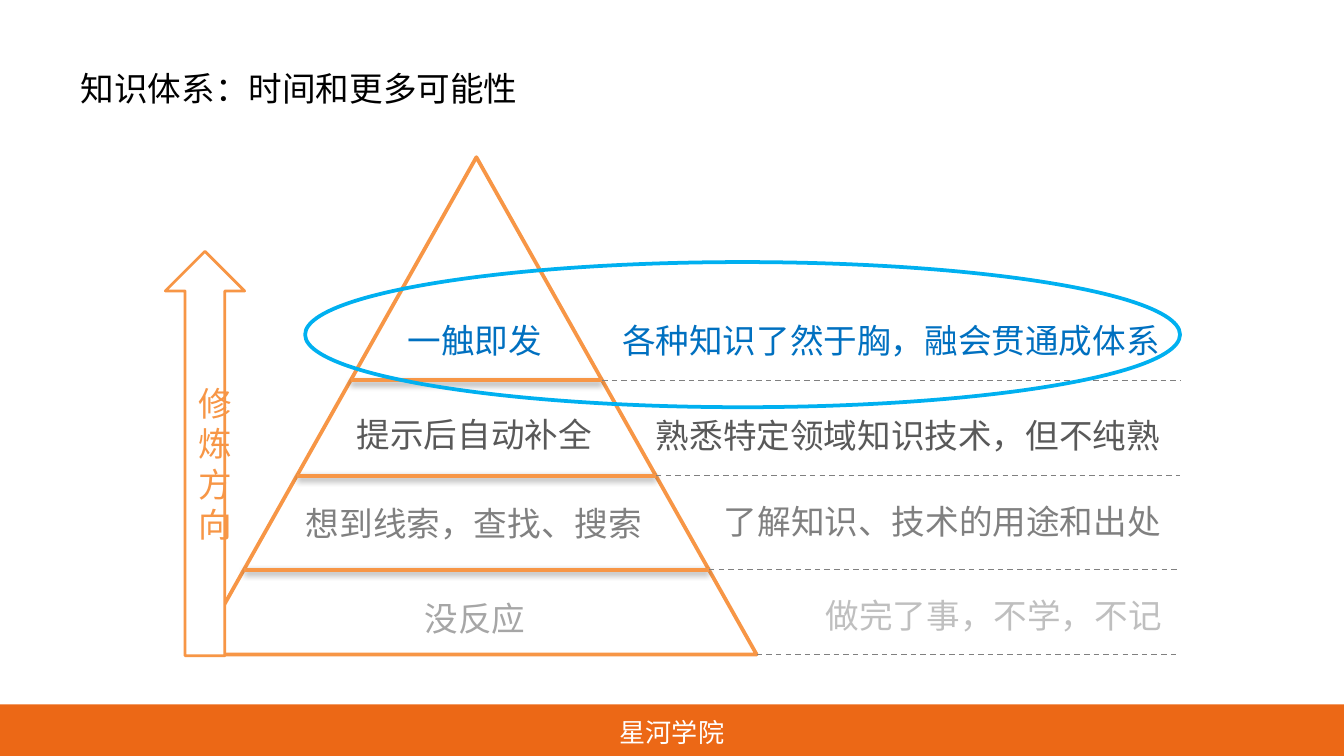
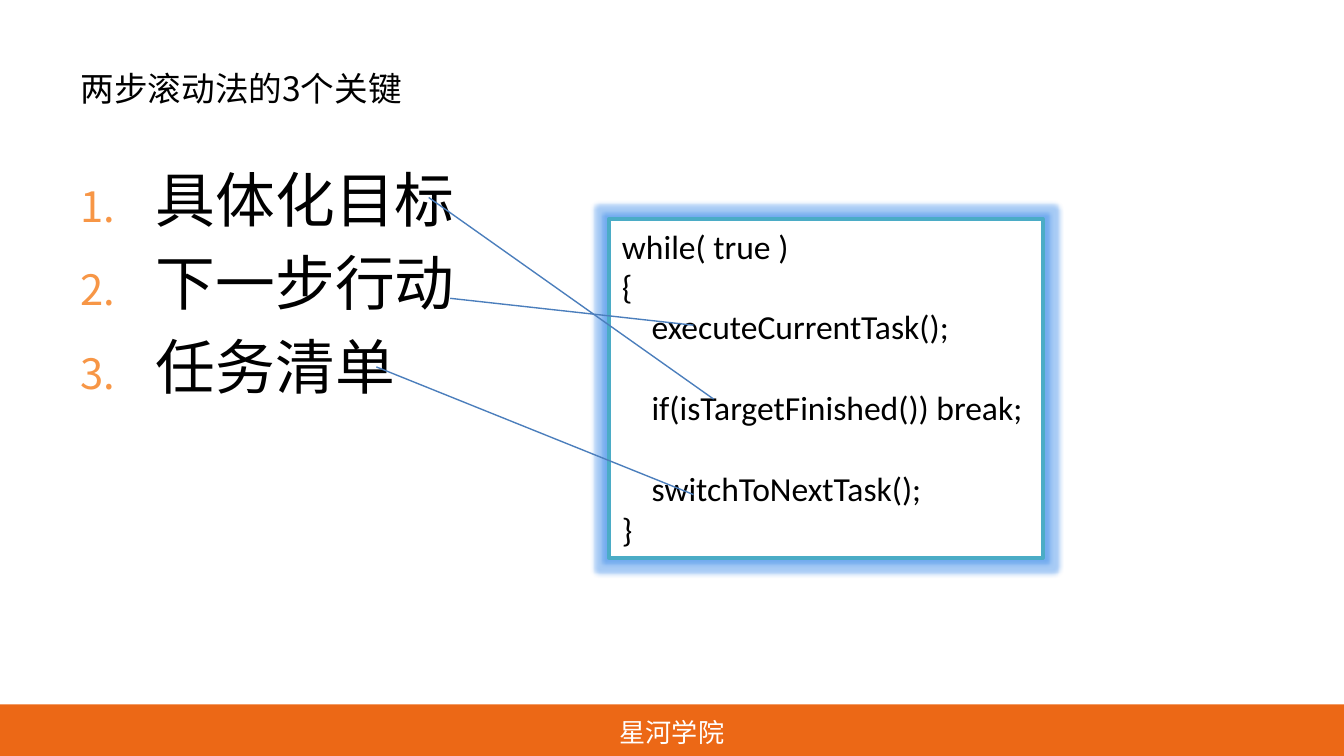
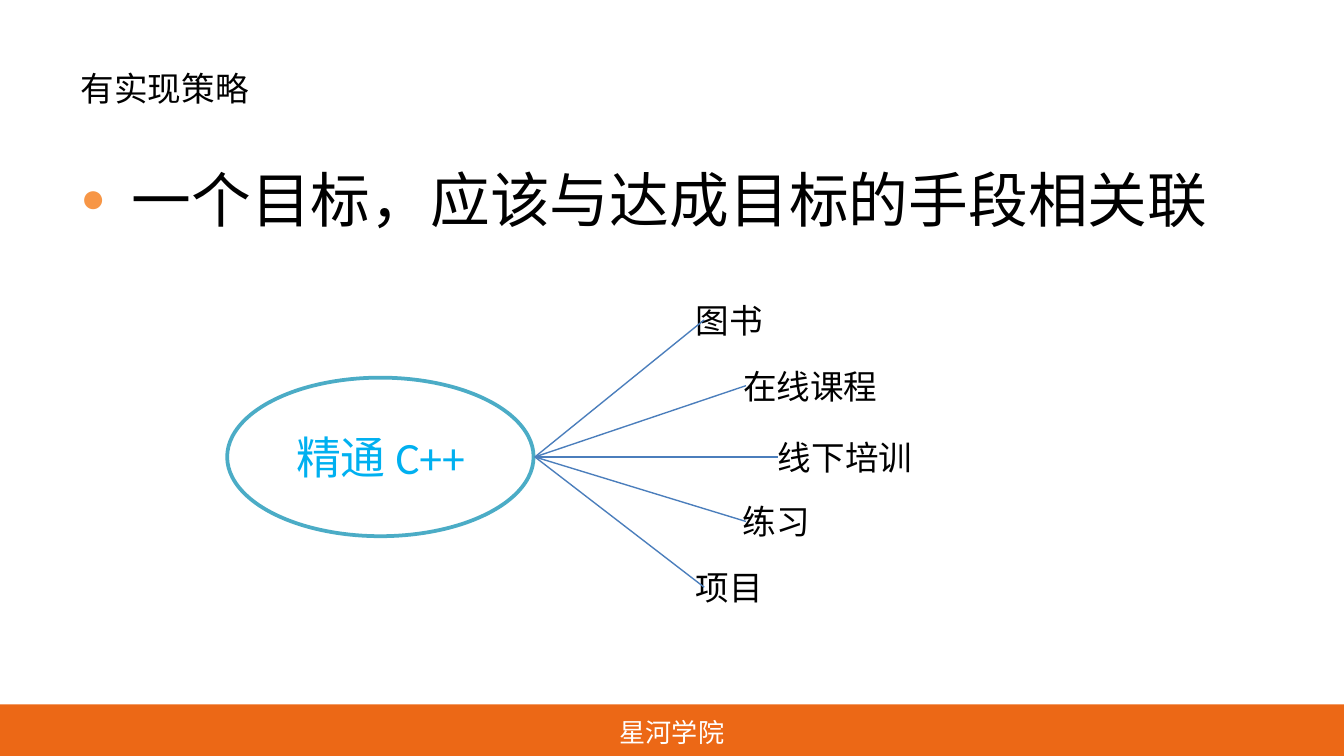
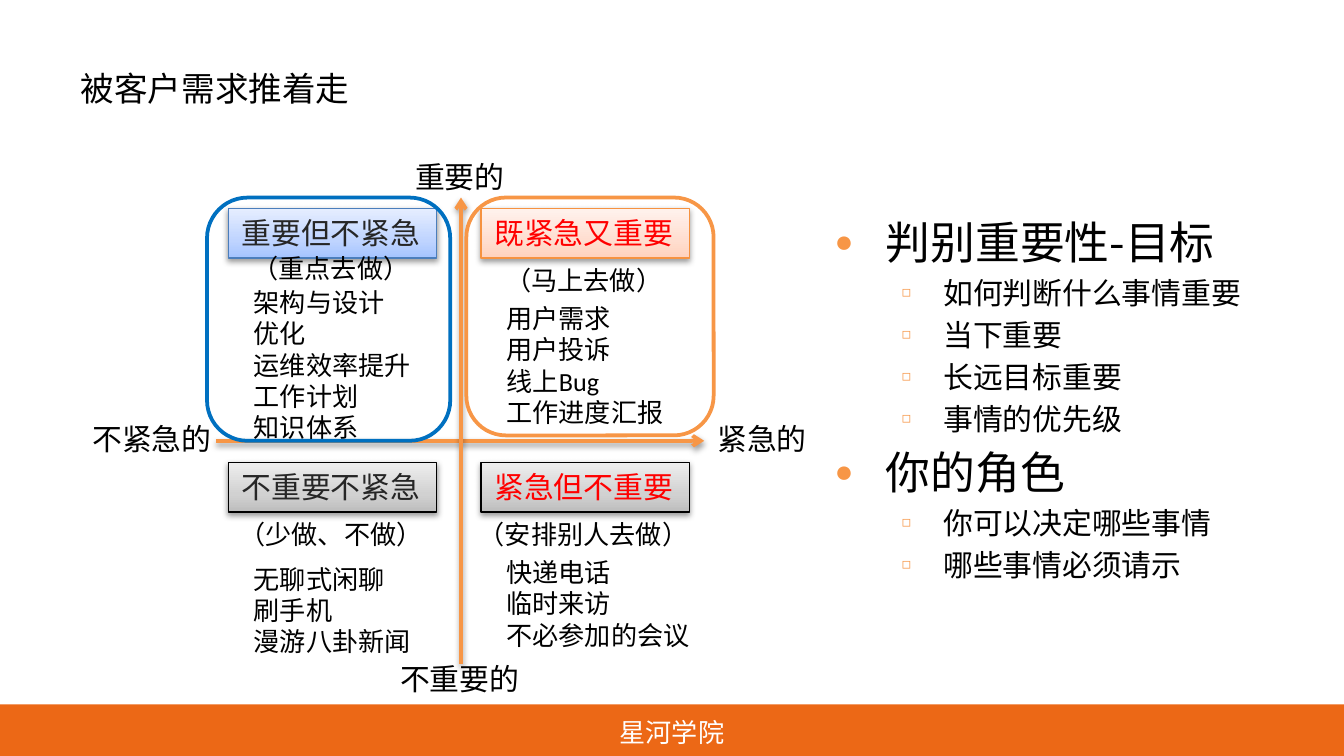
"""Builds four slides on knowledge levels, rolling goals, strategy and priorities."""
import copy

import pptx
import pptx.dml.color
import pptx.enum.dml
import pptx.enum.shapes
import pptx.enum.text
import pptx.oxml
import pptx.oxml.ns
import pptx.util

Inches = pptx.util.Inches
Pt = pptx.util.Pt
SHAPE = pptx.enum.shapes.MSO_SHAPE
ALIGN = pptx.enum.text.PP_ALIGN
ANCHOR = pptx.enum.text.MSO_ANCHOR
AUTO = pptx.enum.text.MSO_AUTO_SIZE
qn = pptx.oxml.ns.qn
NS = pptx.oxml.ns.nsdecls("a")

CJK = "Noto Sans CJK SC"
LATIN = "Calibri"
BRAND = "星河学院"
COLORS = {
    "black": "000000", "white": "FFFFFF", "band": "EC6816", "orange": "F79646",
    "blue": "0070C0", "sky": "00B0F0", "teal": "4BACC6", "link": "4B7EBC",
    "red": "FF0000", "ink": "262626", "dark": "595959", "gray": "808080",
    "mid": "A6A6A6", "light": "BFBFBF", "peach": "F69240", "glow": "257DE7",
}
GRADIENTS = {
    "warm": ("FFD2BD", "FFDED0", "FFF2ED"),
    "cool": ("A4C4FF", "BFD4FF", "E6EEFF"),
    "plain": ("BDBDBD", "D1D1D1", "EEEEEE"),
}
SHADOW = ('<a:outerShdw blurRad="40000" dist="20000" dir="5400000" rotWithShape="0">'
          '<a:srgbClr val="000000"><a:alpha val="38000"/></a:srgbClr></a:outerShdw>')
GLOW = (f'<a:glow rad="63500"><a:srgbClr val="{COLORS["glow"]}">'
        '<a:alpha val="40000"/></a:srgbClr></a:glow>')
BULLETS = {
    "number": (0.56, -0.56, 70, '<a:buAutoNum {} type="arabicPeriod"/>'),
    "dot": (0.38, -0.38, 70, '<a:buChar {} char="●"/>'),
    "square": (0.81, -0.31, 50, '<a:buChar {} char="◻"/>'),
}


def rgb(value):
    return pptx.dml.color.RGBColor.from_string(value)


def set_attrs(obj, fmt):
    for name, value in fmt.items():
        setattr(obj, name, value)


def add_run(p, text, size, color, font=LATIN):
    r = p.add_run()
    r.text = text
    set_attrs(r.font, {"size": Pt(size), "name": font})
    r.font.color.rgb = rgb(COLORS[color])
    r._r.get_or_add_rPr().append(pptx.oxml.parse_xml(f'<a:ea {NS} typeface="{CJK}"/>'))


def add_lines(tf, lines, size, color, font=LATIN, align=ALIGN.LEFT):
    for i, text in enumerate(lines):
        p = tf.add_paragraph() if i else tf.paragraphs[0]
        p.alignment = align
        add_run(p, text, size, color, font)


def place(sp, at):
    set_attrs(sp, dict(zip(("left", "top", "width", "height"), map(Inches, at))))


def set_effect(sp, effect=""):
    sp._element.spPr.append(pptx.oxml.parse_xml(f"<a:effectLst {NS}>{effect}</a:effectLst>"))


def set_gradient(sp, colors):
    sp.fill.gradient()
    sp.fill.gradient_angle = 90
    stops = sp._element.spPr.find(qn("a:gradFill")).find(qn("a:gsLst"))
    stops.append(copy.deepcopy(stops[-1]))
    for stop, position, color in zip(sp.fill.gradient_stops, (0, 0.35, 1), colors):
        stop.position = position
        stop.color.rgb = rgb(color)


def add_shape(s, kind, at, fill=None, line=None, width=2, effect=""):
    sp = s.shapes.add_shape(kind, *map(Inches, at))
    if fill in GRADIENTS:
        set_gradient(sp, GRADIENTS[fill])
    elif fill:
        sp.fill.solid()
        sp.fill.fore_color.rgb = rgb(COLORS[fill])
    else:
        sp.fill.background()
    if line:
        sp.line.color.rgb = rgb(COLORS[line])
        sp.line.width = Pt(width)
    else:
        sp.line.fill.background()
    set_effect(sp, effect)
    return sp


def add_line(s, start, end, color="link", width=0.75, dash=False, arrow=False, effect=""):
    c = s.shapes.add_connector(pptx.enum.shapes.MSO_CONNECTOR.STRAIGHT,
                               *map(Inches, (*start, *end)))
    c.line.color.rgb = rgb(COLORS[color])
    c.line.width = Pt(width)
    if dash:
        c.line.dash_style = pptx.enum.dml.MSO_LINE.DASH
    if arrow:
        c._element.spPr.find(qn("a:ln")).append(
            pptx.oxml.parse_xml(f'<a:tailEnd {NS} type="arrow"/>'))
    set_effect(c, effect)


def fit_tight(tf):
    set_attrs(tf, {"word_wrap": False, "auto_size": AUTO.SHAPE_TO_FIT_TEXT,
                   "vertical_anchor": ANCHOR.TOP})


def add_label(s, x, y, lines, size=18, color="black", pull=0):
    """Add unwrapped text whose left (pull 0), centre (0.5) or right (1) is at x."""
    width = max(map(len, lines)) * size / 72 * 1.01 + 0.21
    height = len(lines) * size / 60 + 0.1
    tb = s.shapes.add_textbox(*map(Inches, (x - pull * width, y, width, height)))
    fit_tight(tb.text_frame)
    add_lines(tb.text_frame, lines, size, color)


def add_slide(prs, title, layout=1):
    s = prs.slides.add_slide(prs.slide_layouts[layout])
    place(s.shapes.title, (0.5, 0.23, 9, 0.85))
    tf = s.shapes.title.text_frame
    set_attrs(tf, {"vertical_anchor": ANCHOR.MIDDLE, "auto_size": AUTO.NONE})
    add_lines(tf, [title], 18, "black", CJK)
    band = add_shape(s, SHAPE.RECTANGLE, (0, 5.24, 10, 0.41), "band")
    add_lines(band.text_frame, [BRAND], 14, "white", CJK, ALIGN.CENTER)
    return s


def add_list(s, at, items):
    """Fill the body placeholder with (bullet, size, text) items."""
    body = s.placeholders[1]
    place(body, at)
    tf = body.text_frame
    tf.auto_size = AUTO.NONE
    for i, (bullet, size, text) in enumerate(items):
        p = tf.add_paragraph() if i else tf.paragraphs[0]
        p.level = int(bullet == "square")
        margin, indent, percent, mark = BULLETS[bullet]
        pPr = p._p.get_or_add_pPr()
        pPr.set("marL", str(Inches(margin)))
        pPr.set("indent", str(Inches(indent)))
        for xml in (f'<a:spcBef {NS}><a:spcPct val="20000"/></a:spcBef>',
                    f'<a:buClr {NS}><a:srgbClr val="{COLORS["orange"]}"/></a:buClr>',
                    f'<a:buSzPct {NS} val="{percent * 1000}"/>',
                    mark.format(NS)):
            pPr.append(pptx.oxml.parse_xml(xml))
        add_run(p, text, size, "black", CJK)


def build_pyramid(prs):
    s = add_slide(prs, "知识体系：时间和更多可能性", layout=5)
    left, top, width, height = 1.46, 1.17, 4.17, 3.7
    middle, right = left + width / 2, 8.78
    add_shape(s, SHAPE.ISOSCELES_TRIANGLE, (left, top, width, height), "white", "orange")
    levels = [
        (2.83, 2.33, 2.33, "一触即发", "blue", "各种知识了然于胸，融会贯通成体系", "blue"),
        (3.54, 3.03, 3.04, "提示后自动补全", "dark", "熟悉特定领域知识技术，但不纯熟", "dark"),
        (4.24, 3.69, 3.68, "想到线索，查找、搜索", "gray", "了解知识、技术的用途和出处", "gray"),
        (4.87, 4.4, 4.38, "没反应", "mid", "做完了事，不学，不记", "light"),
    ]
    for base, name_y, note_y, name, name_color, note, note_color in levels:
        half = (base - top) * width / height / 2
        if base < top + height:
            add_line(s, (middle - half, base), (middle + half, base), "orange", 2, effect=SHADOW)
        add_line(s, (middle + half, base), (right, base), "gray", dash=True)
        add_label(s, middle, name_y, [name], color=name_color, pull=0.5)
        add_label(s, right, note_y, [note], color=note_color, pull=1)
    arrow = add_shape(s, SHAPE.UP_ARROW, (1.23, 1.87, 0.59, 3.01), "white", "orange", 1.5)
    add_lines(arrow.text_frame, ["修炼方向"], 18, "orange", align=ALIGN.CENTER)
    add_shape(s, SHAPE.OVAL, (2.27, 1.95, 6.51, 1.08), line="sky")


def build_loop(prs):
    s = add_slide(prs, "两步滚动法的3个关键")
    add_list(s, (0.5, 1.16, 9, 3.87),
             [("number", 32, text) for text in ("具体化目标", "下一步行动", "任务清单")])
    box = add_shape(s, SHAPE.RECTANGLE, (4.53, 1.63, 3.23, 2.52), "white", "teal", effect=GLOW)
    tf = box.text_frame
    fit_tight(tf)
    calls = ["executeCurrentTask();", "if(isTargetFinished()) break;", "switchToNextTask();"]
    add_lines(tf, ["while( true )", "{", *calls, "}"], 18, "black")
    for p in tf.paragraphs[2:5]:
        p._p.get_or_add_pPr().set("marL", str(Inches(0.22)))
    for p in tf.paragraphs[3:5]:
        p.space_before = Pt(21.8)
    for start, end in (((3.19, 1.47), (5.31, 2.97)),
                       ((3.35, 2.22), (5.16, 2.42)),
                       ((2.8, 2.73), (5.16, 3.68))):
        add_line(s, start, end)


def build_strategy(prs):
    s = add_slide(prs, "有实现策略")
    add_list(s, (0.5, 1.16, 9, 1.02), [("dot", 32, "一个目标，应该与达成目标的手段相关联")])
    goal = add_shape(s, SHAPE.OVAL, (1.69, 2.81, 2.28, 1.18), "white", "teal")
    add_lines(goal.text_frame, ["精通 C++"], 24, "sky", align=ALIGN.CENTER)
    means = [
        (5.08, 2.18, "图书", 5.24), (5.43, 2.67, "在线课程", 5.55),
        (5.69, 3.2, "线下培训", 5.79), (5.43, 3.68, "练习", 5.55),
        (5.08, 4.17, "项目", 5.24),
    ]
    for x, y, text, end in means:
        add_label(s, x, y, [text])
        add_line(s, (3.98, 3.4), (end, y + 0.2))


def build_quadrants(prs):
    s = add_slide(prs, "被客户需求推着走")
    for start, end in (((1.61, 3.28), (5.24, 3.28)), ((3.43, 4.94), (3.43, 1.47))):
        add_line(s, start, end, "orange", 2, arrow=True, effect=SHADOW)
    for x, y, text in ((2.99, 1.13, "重要的"), (2.88, 4.87, "不重要的"),
                       (5.24, 3.08, "紧急的"), (0.59, 3.08, "不紧急的")):
        add_label(s, x, y, [text], 16)
    cols, rows = (1.7, 3.58), (1.55, 3.44)
    quadrants = [
        (1, 0, "warm", "peach", "red", "既紧急又重要", 1.92, "（马上去做）",
         2.2, ["用户需求", "用户投诉", "线上Bug", "工作进度汇报"]),
        (0, 0, "cool", "link", "ink", "重要但不紧急", 1.83, "（重点去做）",
         2.08, ["架构与设计", "优化", "运维效率提升", "工作计划", "知识体系"]),
        (0, 1, "plain", "black", "ink", "不重要不紧急", 3.81, "（少做、不做）",
         4.14, ["无聊式闲聊", "刷手机", "漫游八卦新闻"]),
        (1, 1, "plain", "black", "red", "紧急但不重要", 3.81, "（安排别人去做）",
         4.09, ["快递电话", "临时来访", "不必参加的会议"]),
    ]
    for col, row, fill, line, color, name, note_y, note, tasks_y, tasks in quadrants:
        x, width = cols[col], 1.55
        head = add_shape(s, SHAPE.RECTANGLE, (x, rows[row], width, 0.37),
                         fill, line, 0.75, SHADOW)
        fit_tight(head.text_frame)
        add_lines(head.text_frame, [name], 16, color)
        add_label(s, x + width / 2, note_y, [note], 14, pull=0.5)
        add_label(s, x + 0.09, tasks_y, tasks, 14)
    add_list(s, (6.11, 1.55, 3.69, 3.4), [
        ("dot", 24, "判别重要性-目标"),
        ("square", 16, "如何判断什么事情重要"),
        ("square", 16, "当下重要"),
        ("square", 16, "长远目标重要"),
        ("square", 16, "事情的优先级"),
        ("dot", 24, "你的角色"),
        ("square", 16, "你可以决定哪些事情"),
        ("square", 16, "哪些事情必须请示"),
    ])
    add_shape(s, SHAPE.ROUNDED_RECTANGLE, (3.47, 1.47, 1.84, 1.77), line="orange")
    add_shape(s, SHAPE.ROUNDED_RECTANGLE, (1.54, 1.47, 1.81, 1.81), line="blue")


def main():
    prs = pptx.Presentation()
    width = Inches(10)
    set_attrs(prs, {"slide_width": width, "slide_height": width * 9 // 16})
    for build in (build_pyramid, build_loop, build_strategy, build_quadrants):
        build(prs)
    prs.save("out.pptx")


if __name__ == "__main__":
    main()
